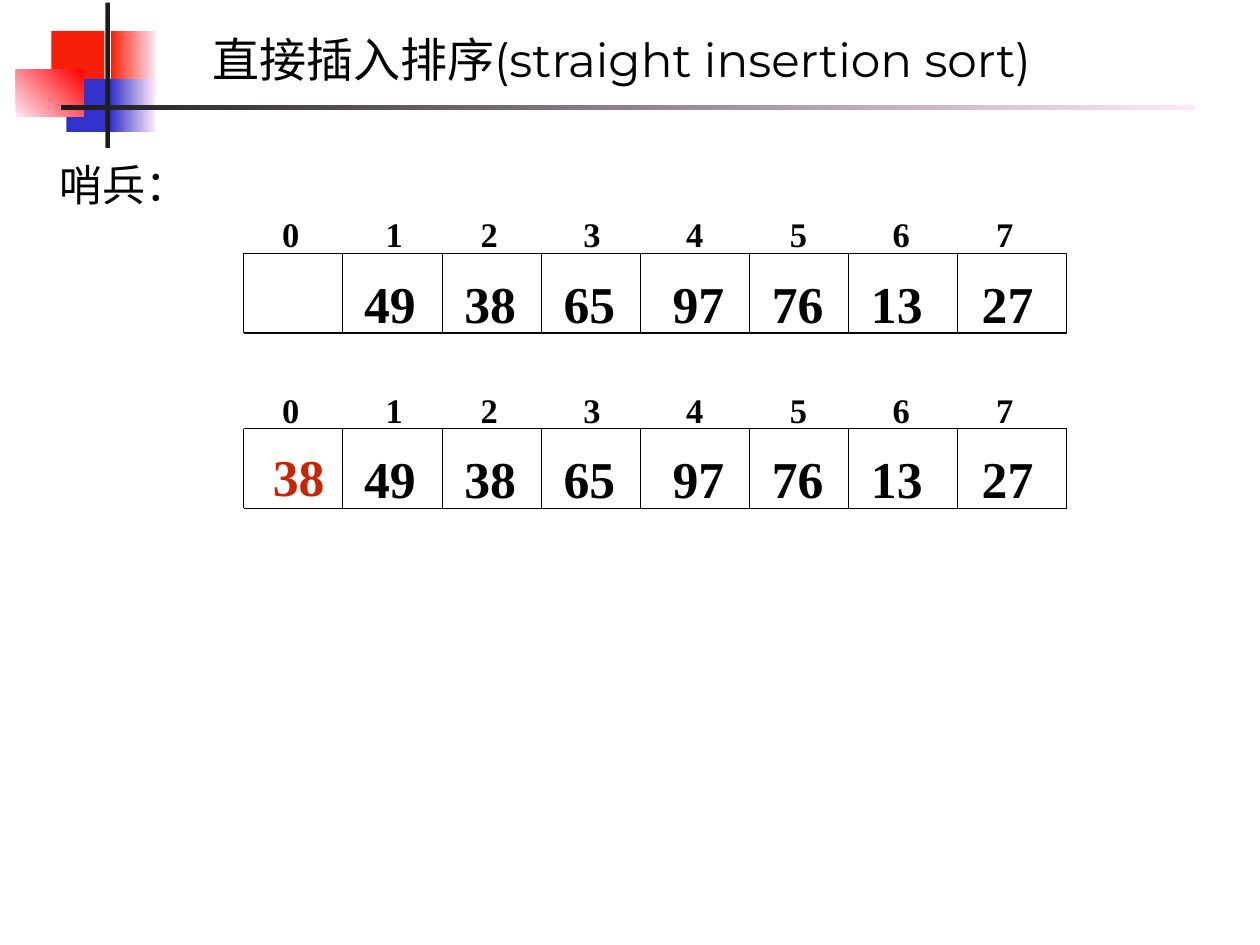
from dataclasses import dataclass
from itertools import accumulate

from lxml import etree
from pptx import Presentation
from pptx import util as u
from pptx.dml.color import RGBColor
from pptx.enum import shapes, text
from pptx.oxml.ns import qn

PX = 9144
CELL_HEIGHT = 90
CELL_EDGES = tuple(accumulate((0, 112, 112, 112, 112, 123, 112, 123, 123)))
INDEX_STOPS = tuple(accumulate((58, 117, 107, 116, 116, 117, 116, 117)))
NUMBERS = ("49", "38", "65", "97", "76", "13", "27")
NUMBER_LEFTS = (129, 242, 354, 477, 589, 701, 826)


@dataclass(frozen=True)
class Theme:
    """Colours, fonts and type sizes of the slide."""

    ink: str = "000000"
    bar: str = "1C1C1C"
    red: str = "F81F08"
    bright_red: str = "FF0000"
    blue: str = "3333CC"
    pale: str = "FEE8F7"
    sentinel: str = "C82506"
    title_font: str = "Montserrat"
    text_font: str = "Times New Roman"
    title_size: float = 38.2
    label_size: float = 35
    index_size: float = 28
    value_size: float = 42


THEME = Theme()


def px(length):
    """Turn a length in px into EMU."""
    return u.Emu(length * PX)


def apply(target, values):
    """Set every attribute named in a dict of format values."""
    for name, value in values.items():
        setattr(target, name, value)


def format_font(font, name, size, color, bold=False):
    """Give a font its face, size, weight and colour."""
    apply(font, {"name": name, "size": u.Pt(size), "bold": bold})
    font.color.rgb = RGBColor.from_string(color)


def margins(size):
    """Return equal text margins on all sides as format values."""
    return {f"margin_{side}": px(size) for side in ("left", "top", "right", "bottom")}


def draw_ornament(slide, left, top):
    """Draw the coloured squares and crossing bars from the given corner."""
    parts = (
        (107, 32, 51, 74, (THEME.red, THEME.pale), 0),
        (40, 32, 60, 60, (THEME.red,), 0),
        (57, 86, 58, 60, (THEME.blue,), 0),
        (107, 86, 50, 60, (THEME.blue, THEME.pale), 0),
        (0, 76, 76, 53, (THEME.pale, THEME.bright_red), 45),
        (101, 0, 5, 164, (THEME.bar,), 0),
        (51, 116, 1280, 5, (THEME.bar, THEME.pale), 0),
    )
    for x, y, width, height, colors, angle in parts:
        shape = slide.shapes.add_shape(
            shapes.MSO_SHAPE.RECTANGLE, px(left + x), px(top + y), px(width), px(height))
        shape.shadow.inherit = False
        shape.line.fill.background()
        if len(colors) == 1:
            shape.fill.solid()
            shape.fill.fore_color.rgb = RGBColor.from_string(colors[0])
            continue
        shape.fill.gradient()
        shape.fill.gradient_angle = angle
        for stop, color in zip(shape.fill.gradient_stops, colors):
            stop.color.rgb = RGBColor.from_string(color)


def write_title(slide, left, top, width, height):
    """Place the slide title in its placeholder."""
    title = slide.shapes.title
    apply(title, {"left": px(left), "top": px(top), "width": px(width), "height": px(height)})
    apply(title.text_frame, {
        "text": "直接插入排序(straight insertion sort)",
        "word_wrap": True,
        "auto_size": text.MSO_AUTO_SIZE.NONE,
        "vertical_anchor": text.MSO_ANCHOR.MIDDLE,
        **margins(6),
    })
    paragraph = title.text_frame.paragraphs[0]
    paragraph.alignment = text.PP_ALIGN.CENTER
    format_font(paragraph.runs[0].font, THEME.title_font, THEME.title_size, THEME.ink)


def add_text(slide, left, top, width, height, content, frame_format):
    """Add a one-paragraph text box and return its paragraph."""
    box = slide.shapes.add_textbox(px(left), px(top), px(width), px(height))
    apply(box.text_frame, {"text": content, "word_wrap": False, **frame_format})
    return box.text_frame.paragraphs[0]


def write_label(slide, left, top, width, height):
    """Write the label that introduces the arrays."""
    paragraph = add_text(slide, left, top, width, height, "哨兵：", {
        "vertical_anchor": text.MSO_ANCHOR.MIDDLE, **margins(6)})
    paragraph.line_spacing = 1.2
    paragraph._p.get_or_add_pPr().set("indent", str(px(6)))
    format_font(paragraph.runs[0].font, THEME.text_font, THEME.label_size, THEME.ink)


def write_indexes(slide, left, top, width, height):
    """Write the row of cell indexes on centred tab stops."""
    content = "".join(f"\t{index}" for index in range(len(INDEX_STOPS)))
    paragraph = add_text(slide, left, top, width, height, content, {
        **margins(7), "margin_top": px(11), "word_wrap": True})
    tabs = etree.SubElement(paragraph._p.get_or_add_pPr(), qn("a:tabLst"))
    for stop in INDEX_STOPS:
        etree.SubElement(tabs, qn("a:tab"), pos=str(px(stop)), algn="ctr")
    format_font(paragraph.runs[0].font, THEME.text_font, THEME.index_size, THEME.ink, True)


def write_value(slide, left, top, value, color):
    """Write one array value."""
    paragraph = add_text(slide, left, top, 74, 78, value, {
        **margins(7), "margin_top": px(13)})
    format_font(paragraph.runs[0].font, THEME.text_font, THEME.value_size, color, True)


def draw_line(slide, *ends):
    """Draw one thin straight line of the array grid."""
    line = slide.shapes.add_connector(
        shapes.MSO_CONNECTOR.STRAIGHT, *(px(end) for end in ends))
    etree.SubElement(line._element.spPr, qn("a:effectLst"))
    line.line.width = u.Pt(1)
    line.line.color.rgb = RGBColor.from_string(THEME.ink)


def draw_array(slide, left, top, sentinel=None):
    """Draw an indexed array whose first cell may hold a sentinel."""
    right, bottom = left + CELL_EDGES[-1], top + CELL_HEIGHT
    write_indexes(slide, left - 12, top - 56, 941, 57)
    for value, offset in zip(NUMBERS, NUMBER_LEFTS):
        write_value(slide, left + offset, top + 8, value, THEME.ink)
    for y in (top, bottom):
        draw_line(slide, left, y, right, y)
    for edge in CELL_EDGES:
        draw_line(slide, left + edge, top, left + edge, bottom)
    if sentinel:
        write_value(slide, left + 26, top + 5, sentinel, THEME.sentinel)


def main():
    """Build the slide and save it."""
    presentation = Presentation()
    apply(presentation, {"slide_width": px(1422), "slide_height": px(1067)})
    slide = presentation.slides.add_slide(presentation.slide_layouts[5])
    draw_ornament(slide, 18, 3)
    write_title(slide, 185, 14, 1033, 104)
    write_label(slide, 55, 163, 165, 79)
    draw_array(slide, 275, 286)
    draw_array(slide, 275, 484, "38")
    presentation.save("out.pptx")


if __name__ == "__main__":
    main()
